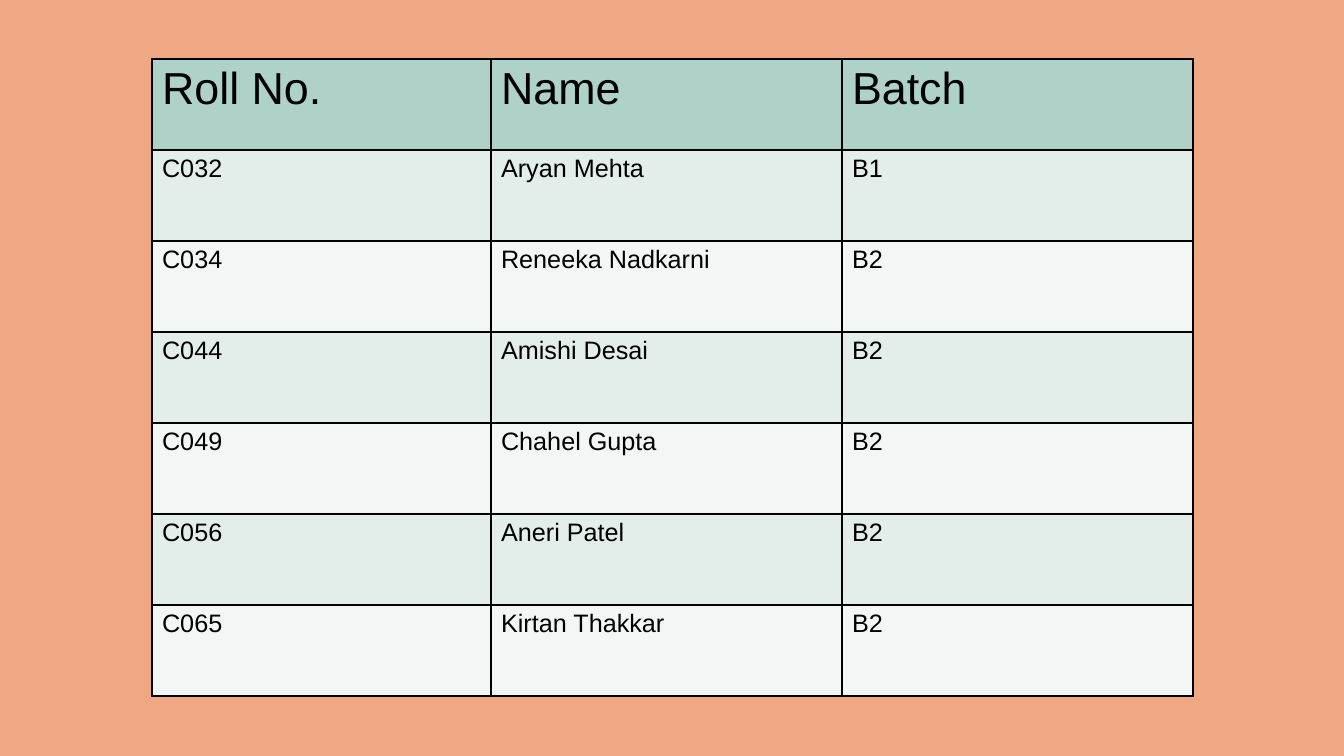
"""Build a slide with a table of students, their roll numbers and batches."""
from lxml import etree
from pptx import Presentation
from pptx.dml.color import RGBColor
from pptx.oxml.ns import qn
from pptx.util import Pt

HEADERS = ("Roll No.", "Name", "Batch")
STUDENTS = [
    ("C032", "Aryan Mehta", "B1"),
    ("C034", "Reneeka Nadkarni", "B2"),
    ("C044", "Amishi Desai", "B2"),
    ("C049", "Chahel Gupta", "B2"),
    ("C056", "Aneri Patel", "B2"),
    ("C065", "Kirtan Thakkar", "B2"),
]
COLORS = {
    "background": "F0A884",
    "header": "AFD2C8",
    "odd": "E3EEEB",
    "even": "F2F7F5",
    "ink": "000000",
}
FONT = "Arial"
HEADER_SIZE, BODY_SIZE = 32, 18
SLIDE_WIDTH, SLIDE_HEIGHT = 1344, 756
TABLE_LEFT, TABLE_TOP = 152, 59
COLUMN_WIDTHS = (339, 351, 351)
ROW_HEIGHT = 91
BORDER_SIDES = ("a:lnL", "a:lnR", "a:lnT", "a:lnB")


def px(length):
    return round(length * 914400 / 100.8)


def color(name):
    return RGBColor.from_string(COLORS[name])


def add_borders(cell):
    properties = cell._tc.get_or_add_tcPr()
    for side in BORDER_SIDES:
        line = etree.SubElement(properties, qn(side), w=str(Pt(1)))
        fill = etree.SubElement(line, qn("a:solidFill"))
        etree.SubElement(fill, qn("a:srgbClr"), val=COLORS["ink"])


def fill_cell(cell, text, size, fill_name):
    add_borders(cell)
    cell.fill.solid()
    cell.fill.fore_color.rgb = color(fill_name)
    span = cell.text_frame.paragraphs[0].add_run()
    span.text = text
    span.font.name = FONT
    span.font.size = Pt(size)
    span.font.bold = False
    span.font.color.rgb = color("ink")


def add_student_table(page):
    rows = [HEADERS, *STUDENTS]
    frame = page.shapes.add_table(
        len(rows), len(HEADERS), px(TABLE_LEFT), px(TABLE_TOP),
        px(sum(COLUMN_WIDTHS)), px(ROW_HEIGHT * len(rows)))
    table = frame.table
    for column, width in zip(table.columns, COLUMN_WIDTHS):
        column.width = px(width)
    for row_number, values in enumerate(rows):
        table.rows[row_number].height = px(ROW_HEIGHT)
        if row_number == 0:
            size, fill_name = HEADER_SIZE, "header"
        else:
            size, fill_name = BODY_SIZE, "odd" if row_number % 2 else "even"
        for column_number, text in enumerate(values):
            fill_cell(table.cell(row_number, column_number), text, size, fill_name)


def main():
    deck = Presentation()
    deck.slide_width, deck.slide_height = px(SLIDE_WIDTH), px(SLIDE_HEIGHT)
    page = deck.slides.add_slide(deck.slide_layouts[6])
    page.background.fill.solid()
    page.background.fill.fore_color.rgb = color("background")
    add_student_table(page)
    deck.save("out.pptx")


if __name__ == "__main__":
    main()
